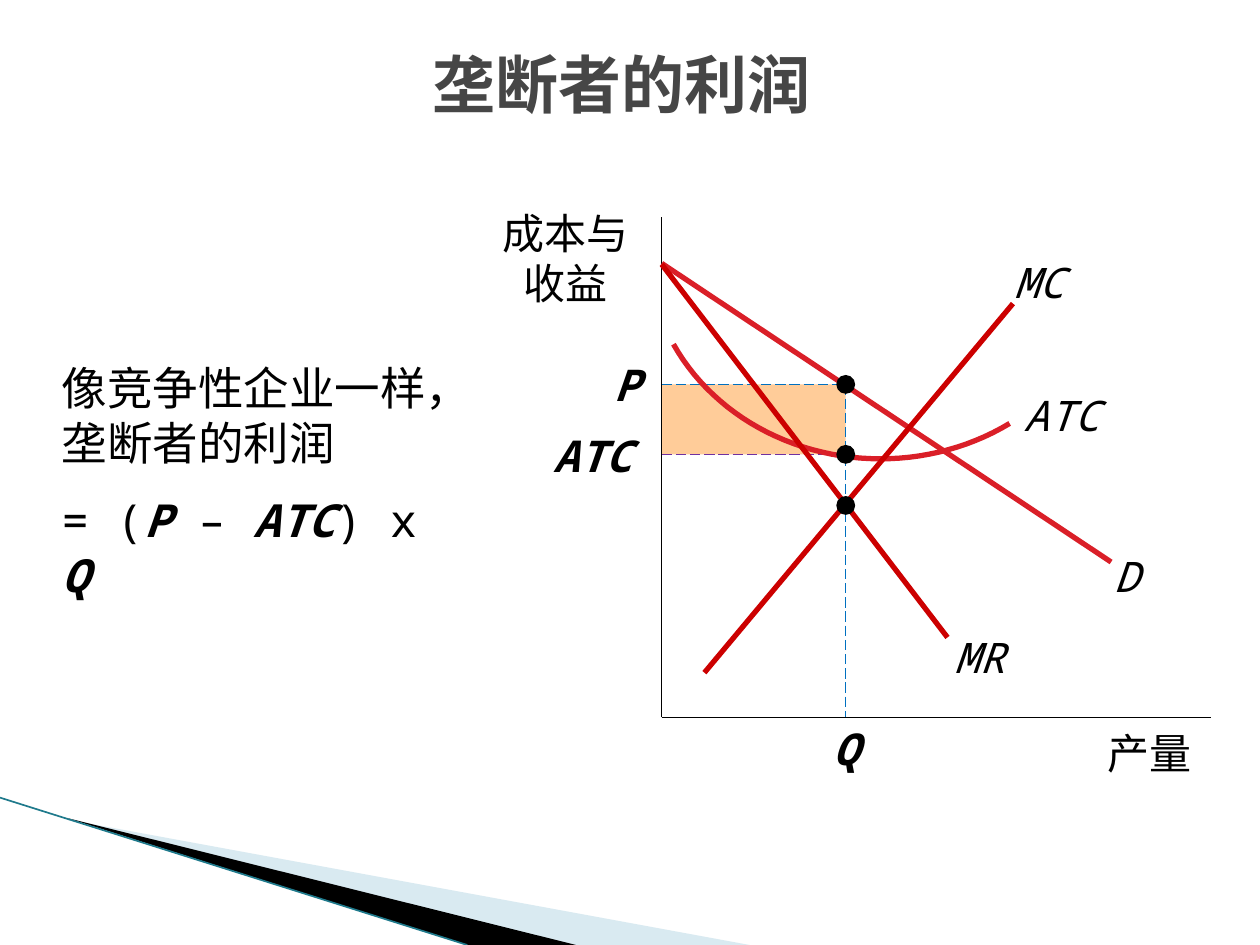
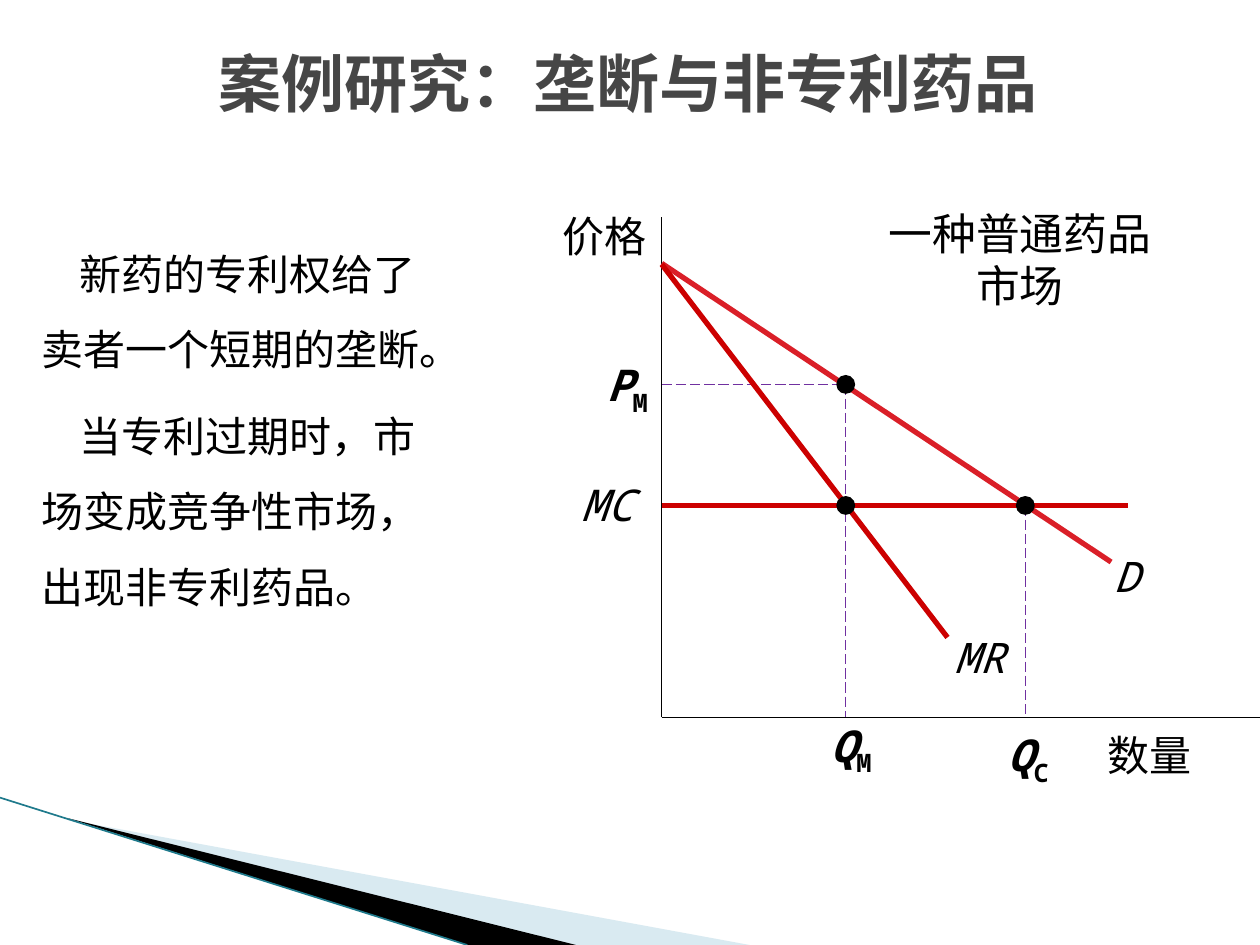
import math
from dataclasses import dataclass

from lxml import etree
from pptx import Presentation
from pptx.dml.color import RGBColor
from pptx.enum import dml, shapes, text
from pptx.oxml.ns import qn
from pptx.util import Cm, Pt


@dataclass(frozen=True)
class Theme:
    """Colours, font and type sizes shared by both slides."""
    font: str = "Noto Sans Mono"
    title: str = "464646"
    ink: str = "000000"
    pale_band: str = "A0CBDC"
    band_edge: str = "1F7A8C"
    demand: str = "DA1F28"
    curve: str = "CC0000"
    profit: str = "FFCC99"
    blue: str = "0070C0"
    purple: str = "7030A0"
    title_size: int = 36
    formula_size: int = 26
    value_size: int = 25
    label_size: int = 24
    curve_width: float = 3
    thin_width: float = 0.75


theme = Theme()
LEFT, CENTER, RIGHT = text.PP_ALIGN.LEFT, text.PP_ALIGN.CENTER, text.PP_ALIGN.RIGHT


def write(para, spans, size, color=theme.ink):
    """Add (words, style) runs; style letters: b bold, i italic, s subscript."""
    for words, style in spans:
        span = para.add_run()
        span.text = words
        span.font.name = theme.font
        span.font.size = Pt(size)
        span.font.bold = "b" in style
        span.font.italic = "i" in style
        span.font.color.rgb = RGBColor.from_string(color)
        if "s" in style:
            span.font.element.set("baseline", "-25000") if hasattr(span.font, "element") \
                else para.runs[-1]._r.get_or_add_rPr().set("baseline", "-25000")


def draw_line(page, start, end, color, width, dash=None):
    """Draw a straight line between two points in centimetres."""
    line = page.shapes.add_connector(
        shapes.MSO_CONNECTOR.STRAIGHT, *(Cm(value) for value in (*start, *end)))
    line.line.color.rgb = RGBColor.from_string(color)
    line.line.width = Pt(width)
    if dash:
        line.line.dash_style = dash
    etree.SubElement(line.element.spPr, qn("a:effectLst"))
    return line


# Landmarks of the diagrams, in centimetres
axis_x, axis_y = 13.34, 14.46
quantity, competitive_quantity = 17.05, 20.67
price, average_cost, marginal_cost = 7.75, 9.16, 10.19
dot_size = 0.38

demand_line = ((axis_x, 5.31), (22.4, 11.33), theme.demand)
revenue_line = ((axis_x, 5.33), (19.1, 12.85), theme.curve)

# Labels: spans, (left, top, width, height), alignment, size, has side insets
shared_labels = [
    ([("D", "i")], (22.1, 11.1, 1.22, 1.02), CENTER, theme.label_size, False),
    ([("MR", "i")], (18.92, 12.73, 1.65, 1.02), CENTER, theme.label_size, False),
]

slides = [
    {
        "title": "垄断者的利润",
        "title_at": (0.84, 0.74),
        "body": [
            [("像竞争性企业一样，垄断者的利润", "")],
            [("= (", ""), ("P", "bi"), (" – ", ""), ("ATC", "bi"),
             (") x ", ""), ("Q", "bi")],
        ],
        "body_at": (0.99, 7.14, 8.03, 7.01),
        "body_size": theme.formula_size,
        "gap": 13, "spacing": 1.0, "indent": 0,
        "axis_end": 24.41,
        "profit": True,
        "guides": [
            ((axis_x, price), (quantity, price), theme.blue),
            ((quantity, price), (quantity, axis_y), theme.blue),
            ((axis_x, average_cost), (quantity, average_cost), theme.purple),
        ],
        "curves": [demand_line, revenue_line,
                   ((14.2, 13.56), (20.42, 6.12), theme.curve)],
        "dots": [(quantity, price), (quantity, average_cost), (quantity, marginal_cost)],
        "labels": [
            ([("产量", "")], (20.57, 14.66, 3.45, 1.02), RIGHT, theme.label_size, False),
            ([("成本与收益", "")], (9.53, 4.06, 3.76, 2.31), CENTER, theme.label_size, True),
            ([("ATC", "i")], (20.37, 7.85, 2.06, 1.02), CENTER, theme.label_size, False),
            ([("MC", "i")], (20.12, 5.18, 1.65, 1.02), CENTER, theme.label_size, False),
            ([("P", "bi")], (12.12, 7.09, 1.09, 1.32), LEFT, theme.value_size, True),
            ([("ATC", "bi")], (10.9, 8.51, 2.36, 1.32), LEFT, theme.value_size, True),
            ([("Q", "bi")], (16.33, 14.43, 1.45, 1.32), CENTER, theme.value_size, True),
        ],
    },
    {
        "title": "案例研究：垄断与非专利药品",
        "title_at": (0.97, 0.71),
        "body": [
            [("新药的专利权给了卖者一个短期的垄断。", "")],
            [("当专利过期时，市场变成竞争性市场，出现非专利药品。", "")],
        ],
        "body_at": (0.58, 4.37, 8.74, 12.22),
        "body_size": theme.label_size,
        "gap": 6, "spacing": 1.5, "indent": 0.77,
        "axis_end": 25.4,
        "profit": False,
        "guides": [
            ((axis_x, price), (quantity, price), theme.purple),
            ((quantity, price), (quantity, axis_y), theme.purple),
            ((competitive_quantity, marginal_cost),
             (competitive_quantity, axis_y), theme.purple),
        ],
        "curves": [((axis_x, marginal_cost), (22.73, marginal_cost), theme.curve),
                   demand_line, revenue_line],
        "dots": [(quantity, price), (quantity, marginal_cost),
                 (competitive_quantity, marginal_cost)],
        "labels": [
            ([("数量", "")], (20.57, 14.71, 3.45, 1.02), RIGHT, theme.label_size, False),
            ([("价格", "")], (8.86, 4.11, 4.42, 1.27), RIGHT, theme.label_size, True),
            ([("MC", "i")], (11.46, 9.5, 1.88, 1.32), LEFT, theme.value_size, True),
            ([("P", "bi"), ("M", "bs")], (11.68, 7.09, 1.63, 1.32),
             RIGHT, theme.value_size, True),
            ([("Q", "bi"), ("M", "bs")], (16.48, 14.48, 1.35, 1.19),
             CENTER, theme.value_size, False),
            ([("Q", "bi"), ("C", "bs")], (20.04, 14.68, 1.37, 1.19),
             CENTER, theme.value_size, False),
            ([("一种普通药品市场", "")], (17.27, 4.04, 6.58, 2.36),
             CENTER, theme.value_size, True),
        ],
    },
]

deck = Presentation()
deck.slide_width, deck.slide_height = Cm(25.4), Cm(19.05)
layout = deck.slide_layouts[1]
pages = [deck.slides.add_slide(layout) for _ in slides]

# Corner bands: shaped on the first page, then moved to the shared layout
bands = []
for points, color, opacity in [
    ([(1.4, 16.53), (15.11, 19.05), (11.58, 19.05)], theme.pale_band, 40),
    ([(1.35, 16.49), (11.61, 19.05), (9.42, 19.05)], theme.ink, 100),
]:
    corners = [(Cm(x), Cm(y)) for x, y in points]
    outline = pages[0].shapes.build_freeform(*corners[0], scale=1)
    outline.add_line_segments(corners[1:], close=True)
    band = outline.convert_to_shape()
    band.shadow.inherit = False
    band.fill.solid()
    band.fill.fore_color.rgb = RGBColor.from_string(color)
    band.line.fill.background()
    if opacity < 100:
        tint = band.element.spPr.find(".//" + qn("a:srgbClr"))
        etree.SubElement(tint, qn("a:alpha")).set("val", str(opacity * 1000))
    bands.append(band)
bands.append(draw_line(pages[0], (0, 16.08), (9.42, 19.05), theme.band_edge, 0.95))
for band in bands:
    layout.element.cSld.spTree.append(band.element)

for page, content in zip(pages, slides):
    # Title and explanation
    title, body = page.placeholders
    title.left, title.top = (Cm(value) for value in content["title_at"])
    title.width, title.height = Cm(23.37), Cm(1.88)
    title.text_frame.auto_size = text.MSO_AUTO_SIZE.NONE
    title.text_frame.vertical_anchor = text.MSO_ANCHOR.MIDDLE
    heading = title.text_frame.paragraphs[0]
    heading.alignment = CENTER
    write(heading, [(content["title"], "b")], theme.title_size, theme.title)

    body.left, body.top, body.width, body.height = (
        Cm(value) for value in content["body_at"])
    body.text_frame.auto_size = text.MSO_AUTO_SIZE.NONE
    for index, spans in enumerate(content["body"]):
        para = body.text_frame.add_paragraph() if index else body.text_frame.paragraphs[0]
        para.line_spacing = content["spacing"]
        para.space_before = Pt(content["gap"] if index else 0)
        layout_rules = para._p.get_or_add_pPr()
        layout_rules.set("marL", "0")
        layout_rules.set("indent", str(Cm(content["indent"])))
        etree.SubElement(layout_rules, qn("a:buNone"))
        write(para, spans, content["body_size"])

    # Profit area between price and average cost
    if content["profit"]:
        area = page.shapes.add_shape(
            shapes.MSO_SHAPE.RECTANGLE, Cm(axis_x), Cm(price),
            Cm(quantity - axis_x), Cm(average_cost - price))
        area.shadow.inherit = False
        area.fill.solid()
        area.fill.fore_color.rgb = RGBColor.from_string(theme.profit)
        area.line.fill.background()

    # Guides, axes and curves
    for start, end, color in content["guides"]:
        draw_line(page, start, end, color, theme.thin_width, dml.MSO_LINE.LONG_DASH)
    for end in [(axis_x, 4.38), (content["axis_end"], axis_y)]:
        draw_line(page, (axis_x, axis_y), end, theme.ink, theme.thin_width)
    if content["profit"]:
        # The average cost curve is the lower part of an ellipse
        angles = [math.radians(56.2 + 96.9 * step / 40) for step in range(41)]
        points = [(Cm(17.75 + 4.68 * math.cos(angle)), Cm(5.03 + 4.22 * math.sin(angle)))
                  for angle in angles]
        outline = page.shapes.build_freeform(*points[0], scale=1)
        outline.add_line_segments(points[1:], close=False)
        cost_curve = outline.convert_to_shape()
        cost_curve.shadow.inherit = False
        cost_curve.fill.background()
        cost_curve.line.color.rgb = RGBColor.from_string(theme.demand)
        cost_curve.line.width = Pt(theme.curve_width)
    for start, end, color in content["curves"]:
        draw_line(page, start, end, color, theme.curve_width)

    # Intersection dots
    for x, y in content["dots"]:
        dot = page.shapes.add_shape(
            shapes.MSO_SHAPE.OVAL, Cm(x - dot_size / 2), Cm(y - dot_size / 2),
            Cm(dot_size), Cm(dot_size))
        dot.shadow.inherit = False
        dot.fill.solid()
        dot.fill.fore_color.rgb = RGBColor.from_string(theme.ink)
        dot.line.fill.background()

    # Labels
    for spans, place, align, size, has_insets in shared_labels + content["labels"]:
        box = page.shapes.add_textbox(*(Cm(value) for value in place))
        frame = box.text_frame
        frame.word_wrap = True
        if not has_insets:
            frame.margin_left = frame.margin_right = 0
            frame.margin_top = frame.margin_bottom = 0
        frame.paragraphs[0].alignment = align
        write(frame.paragraphs[0], spans, size)

deck.save("out.pptx")
